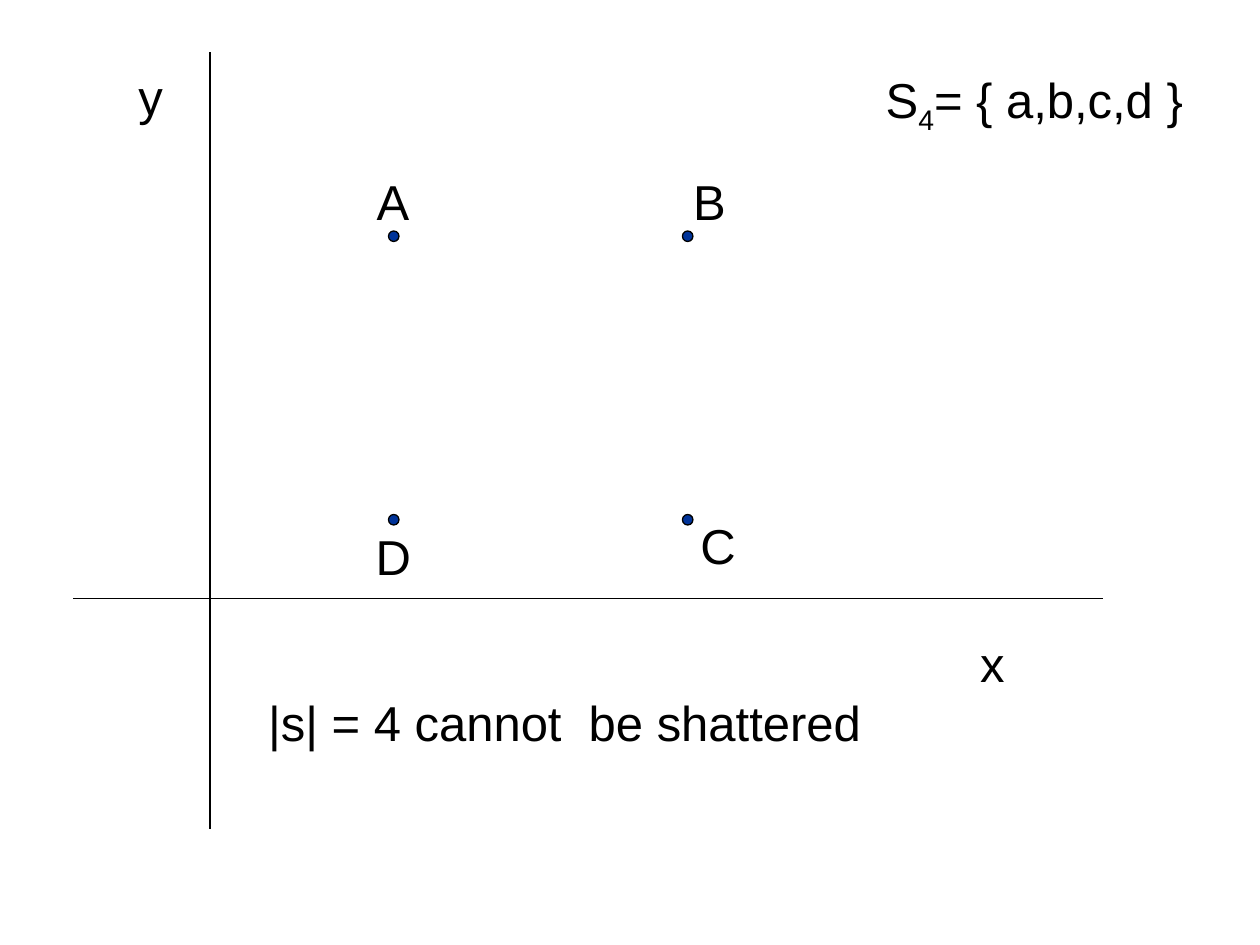
from itertools import product

from lxml.etree import SubElement
from pptx import Presentation
from pptx.dml.color import RGBColor
from pptx.enum.shapes import MSO_CONNECTOR, MSO_SHAPE
from pptx.enum.text import MSO_AUTO_SIZE, PP_ALIGN
from pptx.oxml.ns import qn
from pptx.util import Pt


def color(value):
    return RGBColor.from_string(value)


def add_run(p, text, font="Arial", size=28, fill="000000", baseline=0):
    r = p.add_run()
    r.text = text
    r.font.name = font
    r.font.size = Pt(size)
    r.font.color.rgb = color(fill)
    if baseline:
        r._r.get_or_add_rPr().set("baseline", str(baseline * 1000))


class Diagram:
    ink = "000000"
    dot_fill = "003399"
    line_width = 0.75
    dot_size = 6
    label_height = 41

    def __init__(self, slide):
        self.s = slide

    def stroke(self, line):
        line.color.rgb = color(self.ink)
        line.width = Pt(self.line_width)

    def text(self, x, y, w, parts, h=label_height, wrap=False, before=0):
        sp = self.s.shapes.add_textbox(Pt(x), Pt(y), Pt(w), Pt(h))
        tf = sp.text_frame
        tf.word_wrap = wrap
        tf.auto_size = MSO_AUTO_SIZE.SHAPE_TO_FIT_TEXT
        p = tf.paragraphs[0]
        p.alignment = PP_ALIGN.CENTER
        if before:
            p.space_before = Pt(before)
        for text, baseline in parts:
            add_run(p, text, fill=self.ink, baseline=baseline)

    def axis(self, x1, y1, x2, y2):
        sp = self.s.shapes.add_connector(
            MSO_CONNECTOR.STRAIGHT, Pt(x1), Pt(y1), Pt(x2), Pt(y2))
        self.stroke(sp.line)
        SubElement(sp._element.spPr, qn("a:effectLst"))

    def dot(self, x, y):
        d = self.dot_size
        sp = self.s.shapes.add_shape(
            MSO_SHAPE.OVAL, Pt(x - d / 2), Pt(y - d / 2), Pt(d), Pt(d))
        sp.shadow.inherit = False
        sp.fill.solid()
        sp.fill.fore_color.rgb = color(self.dot_fill)
        self.stroke(sp.line)


def main():
    prs = Presentation()
    prs.slide_width, prs.slide_height = Pt(720), Pt(540)
    diagram = Diagram(prs.slides.add_slide(prs.slide_layouts[6]))

    point_labels = [("A", 208, 94.3, 33.1), ("B", 388.8, 94.3, 33.1),
                    ("D", 207.4, 297.4, 34.5), ("C", 393.1, 290.9, 34.5)]
    for name, x, y, w in point_labels:
        diagram.text(x, y, w, [(name, 0)])

    diagram.axis(120, 30, 120, 474)
    diagram.axis(42, 342, 630, 342)
    diagram.text(553, 358.6, 28, [("x", 0)])
    diagram.text(72, 34.6, 28, [("y", 0)])
    diagram.text(146.2, 392.4, 352.8, [("|s| = 4 cannot  be shattered", 0)])

    for y, x in product((135, 297), (225, 393)):
        diagram.dot(x, y)

    diagram.text(492, 36, 198, [("S", 0), ("4", -25), ("= { a,b,c,d }", 0)],
                 h=45.4, wrap=True, before=17.5)
    prs.save("out.pptx")


if __name__ == "__main__":
    main()
